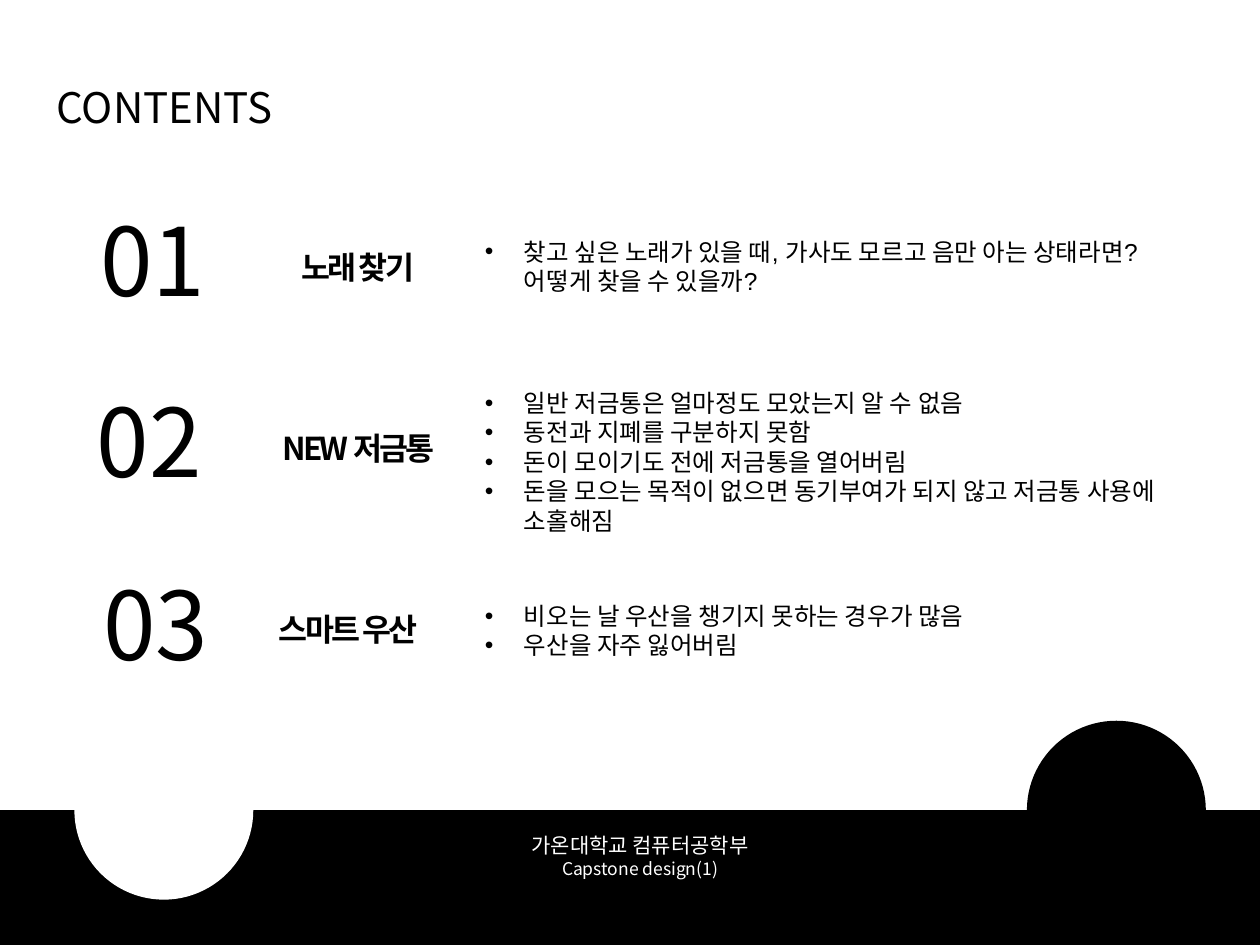
from lxml import etree
from pptx import Presentation, util as u
from pptx.dml.color import RGBColor
from pptx.enum import shapes, text
from pptx.oxml import ns

PX = 9525 * 96 // 100  # EMU in one px: 100 px to the inch
SANS, ARIAL = "Noto Sans CJK KR", "Arial"
BLACK, WHITE = "000000", "FFFFFF"


def px(n):
    return u.Emu(n * PX)


def color(hex_code):
    return RGBColor.from_string(hex_code)


def add_block(s, kind, box, fill):
    sp = s.shapes.add_shape(kind, *map(px, box))
    sp.shadow.inherit = False
    sp.fill.solid()
    sp.fill.fore_color.rgb = color(fill)
    sp.line.fill.background()


def format_run(r, size, font, fill, bold, spacing):
    r.font.size = u.Pt(size)
    r.font.name = font
    r.font.color.rgb = color(fill)
    r.font.bold = bold
    rpr = r.font._element
    etree.SubElement(rpr, ns.qn("a:ea")).set("typeface", SANS)
    if spacing:
        rpr.set("spc", str(int(spacing * 100)))


def add_text(s, box, lines, fill=BLACK, centered=False, bold=False, spacing=0):
    """Lines are (wording, size, font)."""
    tf = s.shapes.add_textbox(*map(px, box)).text_frame
    tf.word_wrap = True
    tf.auto_size = text.MSO_AUTO_SIZE.SHAPE_TO_FIT_TEXT
    tf.text = "\n".join(line[0] for line in lines)
    for p, (_, size, font) in zip(tf.paragraphs, lines):
        if centered:
            p.alignment = text.PP_ALIGN.CENTER
        format_run(p.runs[0], size, font, fill, bold, spacing)
    return tf


def add_bullets(s, box, lines):
    tf = add_text(s, box, [(wording, 14, font) for wording, font in lines])
    for p in tf.paragraphs:
        ppr = p._p.get_or_add_pPr()
        ppr.set("marL", str(px(31)))
        ppr.set("indent", str(-px(31)))
        etree.SubElement(ppr, ns.qn("a:buFont")).set("typeface", ARIAL)
        etree.SubElement(ppr, ns.qn("a:buChar")).set("char", "•")


def add_topic(s, number, number_box, name, name_box, bullets, bullet_box):
    add_text(s, number_box, [(number, 54, SANS)])
    add_text(s, name_box, [(name, 18, SANS)], centered=True, bold=True, spacing=-1.5)
    add_bullets(s, bullet_box, bullets)


TOPICS = [
    ("01", (70, 155, 123, 101), "노래 찾기", (209, 192, 150, 40),
     [("찾고 싶은 노래가 있을 때, 가사도 모르고 음만 아는 상태라면? 어떻게 찾을 수 있을까?", ARIAL)],
     (375, 183, 567, 57)),
    ("02", (67, 299, 150, 101), "NEW 저금통", (179, 336, 211, 40),
     [("일반 저금통은 얼마정도 모았는지 알 수 없음", ARIAL),
      ("동전과 지폐를 구분하지 못함", SANS),
      ("돈이 모이기도 전에 저금통을 열어버림", SANS),
      ("돈을 모으는 목적이 없으면 동기부여가 되지 않고 저금통 사용에 소홀해짐", SANS)],
     (375, 303, 597, 128)),
    ("03", (72, 444, 150, 101), "스마트 우산", (186, 479, 181, 40),
     [("비오는 날 우산을 챙기지 못하는 경우가 많음", SANS),
      ("우산을 자주 잃어버림", SANS)],
     (375, 472, 488, 57)),
]


def main():
    prs = Presentation()
    prs.slide_width, prs.slide_height = px(1000), px(750)
    s = prs.slides.add_slide(prs.slide_layouts[6])
    s.background.fill.solid()
    s.background.fill.fore_color.rgb = color(WHITE)

    # Title
    add_text(s, (35, 60, 457, 50), [("CONTENTS", 24, SANS)])

    # Footer band with a raised and a cut-out circle
    kinds = shapes.MSO_SHAPE
    add_block(s, kinds.OVAL, (815, 572, 142, 142), BLACK)
    add_block(s, kinds.RECTANGLE, (0, 643, 1000, 118), BLACK)
    add_block(s, kinds.OVAL, (59, 572, 142, 142), WHITE)
    add_text(s, (311, 656, 394, 47),
             [("가온대학교 컴퓨터공학부", 12, SANS), ("Capstone design(1)", 10, SANS)],
             fill=WHITE, centered=True)

    # Numbered topics
    for topic in TOPICS:
        add_topic(s, *topic)

    prs.save("out.pptx")


if __name__ == "__main__":
    main()
